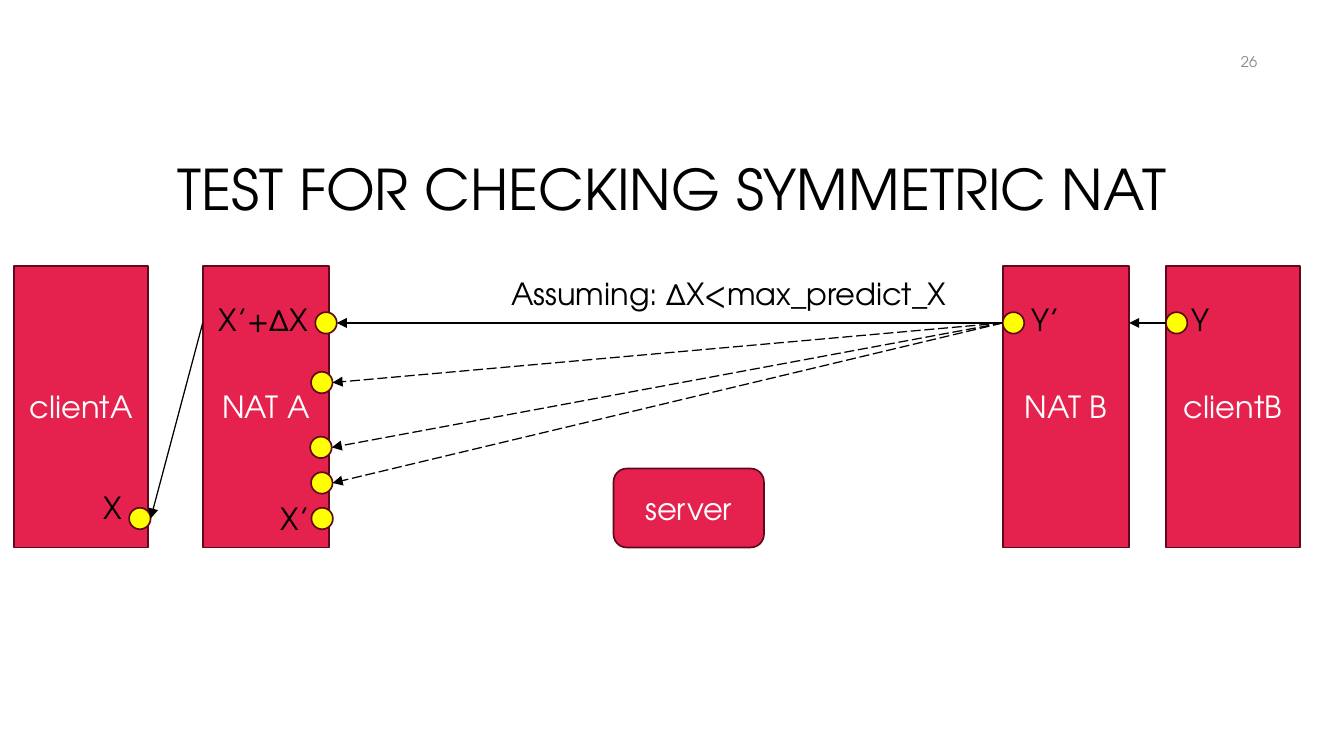
from dataclasses import dataclass

from lxml.etree import SubElement
from pptx import Presentation
from pptx.dml.color import RGBColor
from pptx.enum.dml import MSO_LINE
from pptx.enum.shapes import MSO_CONNECTOR, MSO_SHAPE
from pptx.enum.text import MSO_ANCHOR, PP_ALIGN
from pptx.oxml.ns import qn
from pptx.util import Pt


@dataclass(frozen=True)
class Theme:
    font: str = "TeX Gyre Adventor"
    ink: RGBColor = RGBColor(0, 0, 0)
    muted: RGBColor = RGBColor(0x89, 0x89, 0x89)
    light: RGBColor = RGBColor(0xFF, 0xFF, 0xFF)
    node: RGBColor = RGBColor(0xE5, 0x22, 0x4E)
    outline: RGBColor = RGBColor(0x60, 0x08, 0x1C)
    port: RGBColor = RGBColor(0xFF, 0xFF, 0)
    title_size: float = 33.1
    body_size: float = 18
    number_size: float = 8.7


THEME = Theme()
SLIDE_WIDTH, SLIDE_HEIGHT = 793.44, 446.4
NODE_TOP, NODE_HEIGHT = 157.1, 166.2
CLIENT_WIDTH, NAT_WIDTH = 79.2, 74.6
CLIENT_A, NAT_A, NAT_B, CLIENT_B = 8.4, 119.7, 592, 688.3
PORT_SIZE = 12.7
UPPER_PORT, LOWER_PORT = 190.7, 306.2
LABEL_HEIGHT = 28.8


def write(frame, text, size=THEME.body_size, color=THEME.ink,
          align=PP_ALIGN.LEFT, wrap=True, spacing=None, after=None):
    frame.word_wrap = wrap
    frame.vertical_anchor = MSO_ANCHOR.MIDDLE
    frame.margin_left = frame.margin_right = Pt(6.6)
    frame.margin_top = frame.margin_bottom = Pt(3.3)
    paragraph = frame.paragraphs[0]
    paragraph.alignment = align
    paragraph.line_spacing = spacing
    paragraph.space_after = after
    run = paragraph.add_run()
    run.text = text
    run.font.name = THEME.font
    run.font.size = Pt(size)
    run.font.color.rgb = color


def add_outlined(slide, preset, left, top, width, height, fill):
    shape = slide.shapes.add_shape(preset, Pt(left), Pt(top), Pt(width), Pt(height))
    shape.shadow.inherit = False
    shape.fill.solid()
    shape.fill.fore_color.rgb = fill
    shape.line.color.rgb = THEME.outline
    shape.line.width = Pt(1)
    return shape


def add_node(slide, name, left, width, top=NODE_TOP, height=NODE_HEIGHT,
             preset=MSO_SHAPE.RECTANGLE):
    node = add_outlined(slide, preset, left, top, width, height, THEME.node)
    write(node.text_frame, name, color=THEME.light, align=PP_ALIGN.CENTER)


def add_port(slide, x, y):
    """Draw a port centred on the given point."""
    add_outlined(slide, MSO_SHAPE.OVAL, x - PORT_SIZE / 2, y - PORT_SIZE / 2,
                 PORT_SIZE, PORT_SIZE, THEME.port)


def add_label(slide, text, left, top, width, height=LABEL_HEIGHT, **text_format):
    label = slide.shapes.add_textbox(Pt(left), Pt(top), Pt(width), Pt(height))
    write(label.text_frame, text, **text_format)


def add_arrow(slide, start, end, dashed=False):
    arrow = slide.shapes.add_connector(MSO_CONNECTOR.STRAIGHT,
                                       *(Pt(value) for value in (*start, *end)))
    arrow.line.color.rgb = THEME.ink
    arrow.line.width = Pt(0.75)
    if dashed:
        arrow.line.dash_style = MSO_LINE.LONG_DASH
    SubElement(arrow.line._get_or_add_ln(), qn("a:tailEnd"), type="triangle")
    SubElement(arrow._element.spPr, qn("a:effectLst"))


def add_title(slide, text):
    title = slide.shapes.title
    title.left, title.top = Pt(0), Pt(85)
    title.width, title.height = Pt(SLIDE_WIDTH), Pt(56.9)
    write(title.text_frame, text, size=THEME.title_size, align=PP_ALIGN.CENTER,
          spacing=0.9, after=Pt(10.5))


def main():
    deck = Presentation()
    deck.slide_width, deck.slide_height = Pt(SLIDE_WIDTH), Pt(SLIDE_HEIGHT)
    slide = deck.slides.add_slide(deck.slide_layouts[5])

    add_title(slide, "TEST FOR CHECKING SYMMETRIC NAT")
    add_label(slide, "26", 570.2, 24.5, 178.6, 23.8, size=THEME.number_size,
              color=THEME.muted, align=PP_ALIGN.RIGHT)

    for name, left, width in (("clientA", CLIENT_A, CLIENT_WIDTH),
                              ("NAT A", NAT_A, NAT_WIDTH),
                              ("NAT B", NAT_B, NAT_WIDTH),
                              ("clientB", CLIENT_B, CLIENT_WIDTH)):
        add_node(slide, name, left, width)
    add_node(slide, "server", 362.2, 88.8, top=276.7, height=46.6,
             preset=MSO_SHAPE.ROUNDED_RECTANGLE)

    client_a_port = (82.6, LOWER_PORT)
    matched_port = (192.5, UPPER_PORT)
    predicted_ports = ((190, 225.9), (189.5, 264.2), (190, 285.2))
    for x, y in (client_a_port, matched_port, *predicted_ports,
                 (190.2, LOWER_PORT),
                 (NAT_B + PORT_SIZE / 2, UPPER_PORT),
                 (CLIENT_B + PORT_SIZE / 2, UPPER_PORT)):
        add_port(slide, x, y)

    nat_b_exit = (NAT_B, UPPER_PORT)
    for x, y in predicted_ports:
        add_arrow(slide, nat_b_exit, (x + PORT_SIZE / 2, y), dashed=True)
    for start, (x, y) in ((nat_b_exit, matched_port),
                          ((NAT_A, UPPER_PORT), client_a_port)):
        add_arrow(slide, start, (x + PORT_SIZE / 2, y))
    add_arrow(slide, (CLIENT_B, UPPER_PORT), (NAT_B + NAT_WIDTH, UPPER_PORT))

    for text, left, top, width in (
            ("X", 54.7, 285.1, 25.9),
            ("X’", 159.1, 291.6, 32.4),
            ("X’+ΔX", 122.4, 174.2, 67.7),
            ("Y’", 602.6, 174.2, 31.7),
            ("Y", 697, 174.2, 25.9),
            ("Assuming: ΔX<max_predict_X", 295.2, 159.1, 274.3)):
        add_label(slide, text, left, top, width, wrap=False)

    deck.save("out.pptx")


if __name__ == "__main__":
    main()
